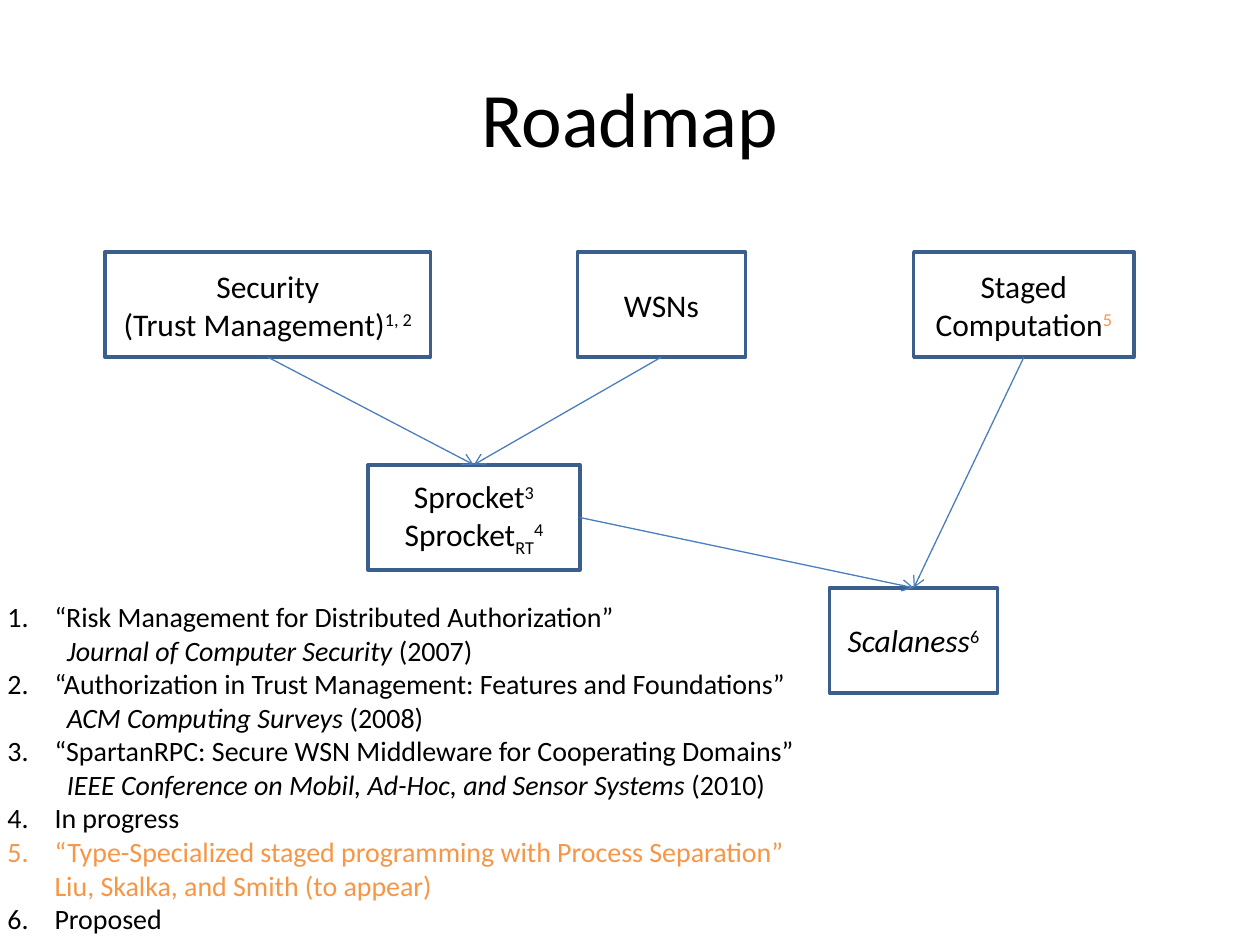
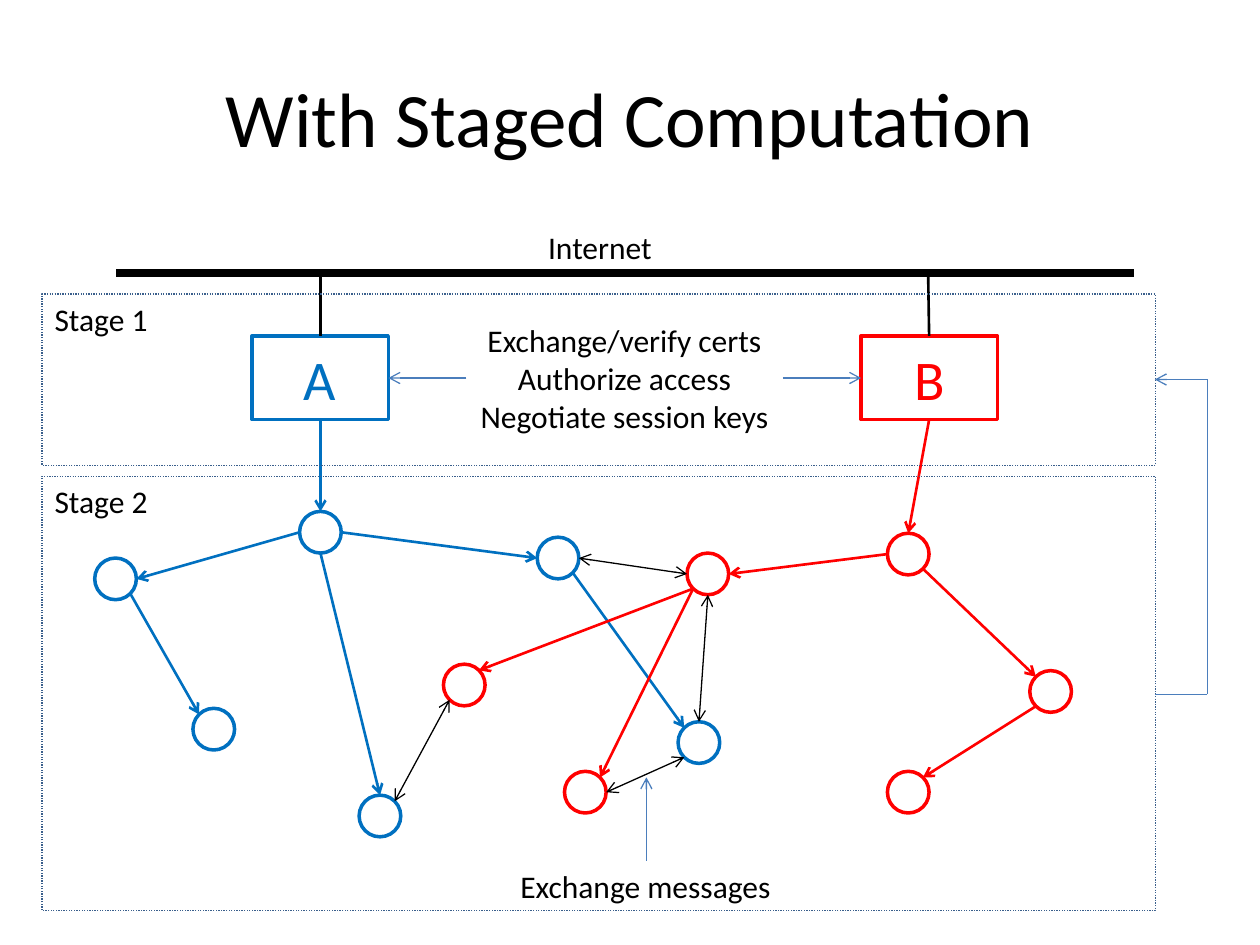
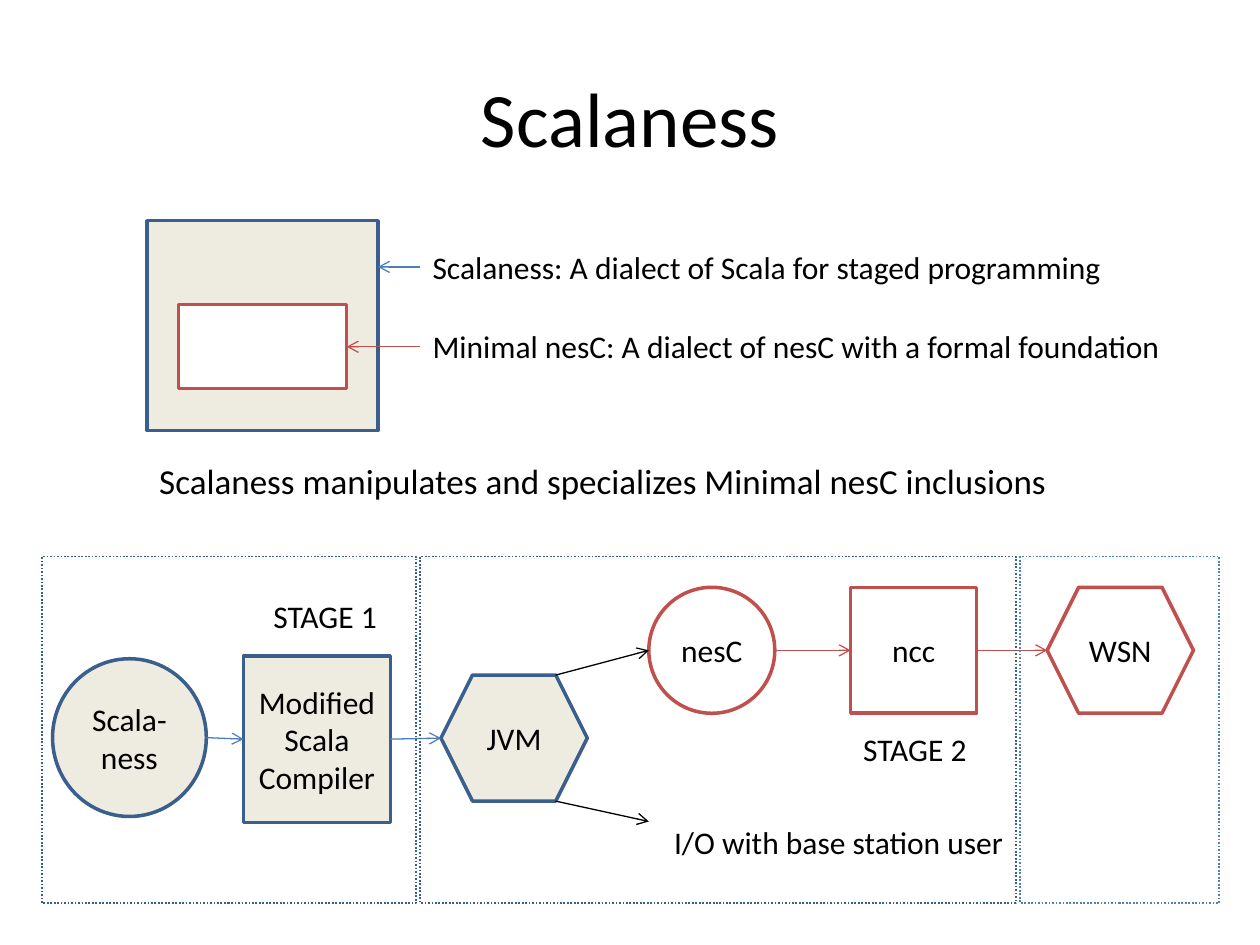
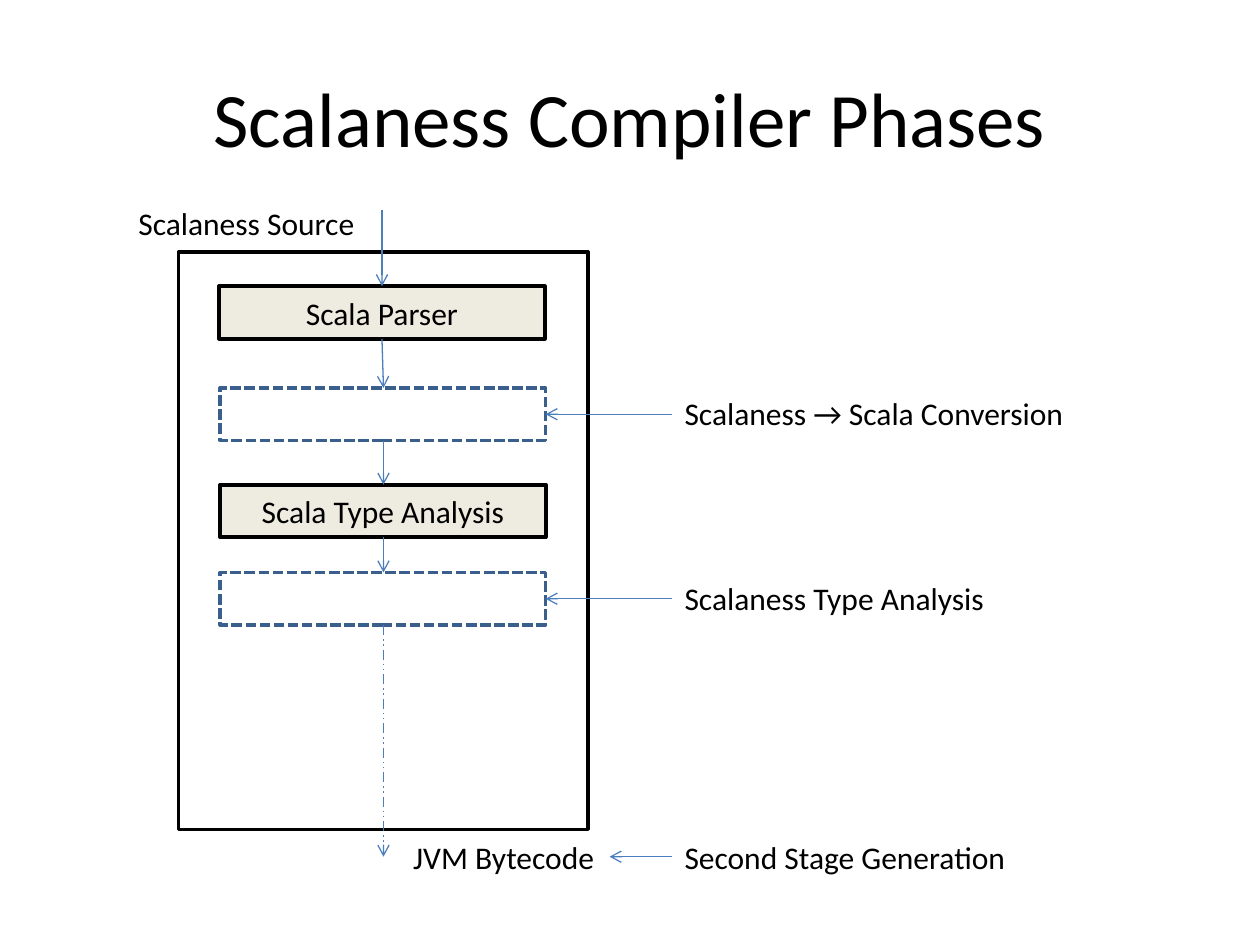
import math
import pptx
import pptx.util
import pptx.dml.color
import pptx.enum.dml
import pptx.enum.shapes
import pptx.enum.text
import pptx.oxml.ns
import lxml.etree

Cm = pptx.util.Cm
Pt = pptx.util.Pt
RGBColor = pptx.dml.color.RGBColor
SHAPE = pptx.enum.shapes.MSO_SHAPE
DASH = pptx.enum.dml.MSO_LINE
ALIGN = pptx.enum.text.PP_ALIGN
ANCHOR = pptx.enum.text.MSO_ANCHOR
FIT = pptx.enum.text.MSO_AUTO_SIZE
qn = pptx.oxml.ns.qn

BLACK = RGBColor(0x00, 0x00, 0x00)
WHITE = RGBColor(0xFF, 0xFF, 0xFF)
NAVY = RGBColor(0x3A, 0x5F, 0x8C)
STEEL = RGBColor(0x4B, 0x7E, 0xBC)
ACCENT = RGBColor(0x4F, 0x81, 0xBD)
BLUE = RGBColor(0x00, 0x70, 0xC0)
RED = RGBColor(0xFF, 0x00, 0x00)
BRICK = RGBColor(0xC0, 0x50, 0x4D)
ORANGE = RGBColor(0xF7, 0x96, 0x46)
CREAM = RGBColor(0xEE, 0xEC, 0xE1)
FONT = "Calibri"
SUPER, SUB = 30000, -25000
LABEL_HEIGHT = 1.02


def add_block(page, kind, area, text="", fill=WHITE, outline=NAVY, width=2, dash=None,
              size=18, align=ALIGN.CENTER, wrap=True):
    lengths = [Cm(value) for value in area]
    if kind is None:
        box = page.shapes.add_textbox(*lengths)
    else:
        box = page.shapes.add_shape(kind, *lengths)
        box.shadow.inherit = False
        if fill is None:
            box.fill.background()
        else:
            box.fill.solid()
            box.fill.fore_color.rgb = fill
        box.line.color.rgb = outline
        box.line.width = Pt(width)
        if dash is not None:
            box.line.dash_style = dash
    if not text:
        return box
    frame = box.text_frame
    frame.word_wrap = wrap
    if not wrap:
        frame.auto_size = FIT.SHAPE_TO_FIT_TEXT
    frame.vertical_anchor = ANCHOR.MIDDLE if wrap else ANCHOR.TOP
    rows = [[(row,)] for row in text.split("\n")] if isinstance(text, str) else text
    for number, row in enumerate(rows):
        para = frame.add_paragraph() if number else frame.paragraphs[0]
        para.alignment = align
        for words, color, italic, baseline in [
                part + (BLACK, False, 0)[len(part) - 1:] for part in row]:
            span = para.add_run()
            span.text = words
            span.font.name = FONT
            span.font.size = Pt(size)
            span.font.color.rgb = color
            if italic:
                span.font.italic = True
            if baseline:
                span.font._element.set("baseline", str(baseline))
    return box


def add_line(page, start, end, color=STEEL, width=0.75, ends=("tailEnd",), dash=None):
    line = page.shapes.add_connector(
        pptx.enum.shapes.MSO_CONNECTOR.STRAIGHT, *[Cm(value) for value in (*start, *end)])
    line.line.color.rgb = color
    line.line.width = Pt(width)
    if dash is not None:
        line.line.dash_style = dash
    properties = line._element.spPr
    for end_name in ends:
        lxml.etree.SubElement(properties.find(qn("a:ln")), qn("a:" + end_name), type="arrow")
    lxml.etree.SubElement(properties, qn("a:effectLst"))


deck = pptx.Presentation()
deck.slide_width = Cm(25.4)
deck.slide_height = Cm(19.05)
pages = []
for title in ("Roadmap", "With Staged Computation", "Scalaness", "Scalaness Compiler Phases"):
    page = deck.slides.add_slide(deck.slide_layouts[6])
    add_block(page, None, (1.27, 0.76, 22.86, 3.18), title, size=44)
    pages.append(page)
roadmap, staged, scalaness, compiler = pages

topics = [
    (2.12, 5.08, 6.56, [[("Security",)],
                        [("(Trust Management)",), ("1, 2", BLACK, False, SUPER)]]),
    (11.64, 5.08, 3.39, "WSNs"),
    (18.42, 5.08, 4.44, [[("Staged Computation",), ("5", ORANGE, False, SUPER)]]),
    (7.42, 9.37, 4.27, [[("Sprocket",), ("3", BLACK, False, SUPER)],
                        [("Sprocket",), ("RT", BLACK, False, SUB), ("4", BLACK, False, SUPER)]]),
    (16.72, 11.85, 3.39, [[("Scalaness", BLACK, True), ("6", BLACK, False, SUPER)]]),
]
for left, top, width, text in topics:
    add_block(roadmap, SHAPE.RECTANGLE, (left, top, width, 2.12), text)
for start, end in [
        ((5.4, 7.2), (9.55, 9.37)),
        ((13.33, 7.2), (9.55, 9.37)),
        ((11.68, 10.43), (18.42, 11.85)),
        ((20.64, 7.2), (18.42, 11.85))]:
    add_line(roadmap, start, end)

references = [
    [("“Risk Management for Distributed Authorization”",)],
    [("Journal of Computer Security", BLACK, True), (" (2007)",)],
    [("“Authorization in Trust Management: Features and Foundations”",)],
    [("ACM Computing Surveys", BLACK, True), (" (2008)",)],
    [("“SpartanRPC: Secure WSN Middleware for Cooperating Domains”",)],
    [("IEEE Conference on Mobil, Ad-Hoc, and Sensor Systems", BLACK, True), (" (2010)",)],
    [("In progress",)],
    [("“Type-Specialized staged programming with Process Separation” "
      "Liu, Skalka, and Smith (to appear)", ORANGE)],
    [("Proposed",)],
]
box = add_block(roadmap, None, (-0.1, 11.96, 16.51, 7.09), references, size=16, align=ALIGN.LEFT)
box.text_frame.vertical_anchor = ANCHOR.TOP
number = 0
for para, row in zip(box.text_frame.paragraphs, references):
    properties = para._p.get_or_add_pPr()
    if len(row) == 2:
        properties.set("marL", str(Cm(1.2)))
        properties.set("indent", "0")
    else:
        number += 1
        properties.set("marL", str(Cm(0.95)))
        properties.set("indent", str(-Cm(0.95)))
        lxml.etree.SubElement(properties, qn("a:buFont"), typeface="+mj-lt")
        lxml.etree.SubElement(properties, qn("a:buAutoNum"), type="arabicPeriod",
                              startAt=str(number))

add_line(staged, (2.34, 5.5), (22.86, 5.5), BLACK, 4.5, ())
for left, name, color in [(5.08, "A", BLUE), (17.36, "B", RED)]:
    add_block(staged, SHAPE.RECTANGLE, (left, 6.77, 2.75, 1.69), [[(name, color)]],
              outline=color, size=32)

radius = 0.42
nodes = {
    "A1": (6.46, 10.73), "A2": (11.25, 11.25), "A3": (2.33, 11.67),
    "A4": (7.66, 16.45), "A5": (4.31, 14.7), "A6": (14.09, 14.97),
    "B1": (18.31, 11.17), "B2": (14.27, 11.57), "B3": (9.36, 13.81),
    "B4": (11.8, 15.97), "B5": (21.18, 13.94), "B6": (18.31, 15.97),
}
rims = {}
for name, (x, y) in nodes.items():
    add_block(staged, SHAPE.OVAL, (x - radius, y - radius, 2 * radius, 2 * radius),
              outline=BLUE if name[0] == "A" else RED)
    for step, side in enumerate(("E", "NE", "N", "NW", "W", "SW", "S", "SE")):
        angle = math.radians(45 * step)
        rims[name, side] = (x + radius * math.cos(angle), y - radius * math.sin(angle))

for source, leave, target, arrive in [
        ("A1", "S", "A4", "N"), ("A2", "SE", "A6", "NW"), ("A3", "SE", "A5", "NW"),
        ("A1", "E", "A2", "W"), ("A1", "W", "A3", "E"),
        ("B1", "W", "B2", "E"), ("B2", "SW", "B4", "NE"), ("B2", "SW", "B3", "NE"),
        ("B5", "SW", "B6", "NE"), ("B1", "SE", "B5", "NW")]:
    add_line(staged, rims[source, leave], rims[target, arrive],
             BLUE if source[0] == "A" else RED, 1.5)
for center, root, color, bus in [(6.46, "A1", BLUE, (6.46, 5.5)), (18.73, "B1", RED, (18.71, 5.5))]:
    add_line(staged, (center, 8.46), rims[root, "N"], color, 1.5)
    add_line(staged, (center, 6.77), bus, BLACK, 1.5, ())
for source, leave, target, arrive in [
        ("B4", "E", "A6", "SW"), ("B3", "SW", "A4", "NE"),
        ("B2", "S", "A6", "N"), ("A2", "E", "B2", "W")]:
    add_line(staged, rims[source, leave], rims[target, arrive], BLACK,
             ends=("headEnd", "tailEnd"))

for start, end in [
        ((13.03, 17.35), (13.03, 15.67)),
        ((9.4, 7.62), (7.83, 7.62)),
        ((15.78, 7.62), (17.36, 7.62))]:
    add_line(staged, start, end)
add_block(staged, None, (9.4, 6.35, 6.38, 2.57),
          "Exchange/verify certs\nAuthorize access\nNegotiate session keys", wrap=False)
for top, height in [(9.6, 8.76), (5.93, 3.45)]:
    add_block(staged, SHAPE.RECTANGLE, (0.85, top, 22.44, height), fill=None, width=0.75,
              dash=DASH.ROUND_DOT)
feedback = [(23.28, 14), (24.34, 14), (24.34, 7.65), (23.28, 7.65)]
for start, end in zip(feedback, feedback[1:]):
    add_line(staged, start, end, ends=("tailEnd",) if end == feedback[-1] else ())

add_block(scalaness, SHAPE.RECTANGLE, (2.96, 4.45, 4.66, 4.23), fill=CREAM)
add_block(scalaness, SHAPE.RECTANGLE, (3.6, 6.14, 3.39, 1.69), outline=BRICK)
add_block(scalaness, None, (2.96, 9.14, 18.59, 1.12),
          "Scalaness manipulates and specializes Minimal nesC inclusions",
          size=20, align=ALIGN.LEFT, wrap=False)
for kind, area, text, fill, outline in [
        (SHAPE.OVAL, (1.06, 13.28, 3.1, 3.18), "Scala-ness", CREAM, NAVY),
        (SHAPE.RECTANGLE, (4.91, 13.23, 2.96, 3.35), "Modified Scala Compiler", CREAM, NAVY),
        (SHAPE.HEXAGON, (8.89, 13.61, 2.95, 2.54), "JVM", CREAM, NAVY),
        (SHAPE.OVAL, (13.08, 11.84, 2.54, 2.54), "nesC", WHITE, BRICK),
        (SHAPE.RECTANGLE, (17.15, 11.84, 2.54, 2.54), "ncc", WHITE, BRICK),
        (SHAPE.HEXAGON, (21.11, 11.84, 2.95, 2.54), "WSN", WHITE, BRICK)]:
    add_block(scalaness, kind, area, text, fill, outline)
for start, end, color in [
        ((8.47, 5.38), (7.62, 5.38), STEEL),
        ((8.47, 6.99), (6.99, 6.99), BRICK),
        ((4.16, 14.87), (4.91, 14.9), STEEL),
        ((7.87, 14.9), (8.89, 14.88), STEEL),
        ((15.62, 13.11), (17.15, 13.11), BRICK),
        ((19.69, 13.11), (21.11, 13.11), BRICK),
        ((11.2, 13.61), (13.08, 13.11), BLACK),
        ((11.2, 16.15), (13.08, 16.56), BLACK)]:
    add_line(scalaness, start, end, color)
for left, width, color in [(0.85, 7.54, NAVY), (8.47, 12.01, NAVY), (20.57, 4.01, ACCENT)]:
    add_block(scalaness, SHAPE.RECTANGLE, (left, 11.22, width, 6.99), fill=None,
              outline=color, width=1, dash=DASH.ROUND_DOT)

add_block(compiler, SHAPE.RECTANGLE, (3.6, 5.08, 8.26, 11.64), outline=BLACK)
for left, top, text in [(4.42, 5.77, "Scala Parser"), (4.44, 7.82, ""),
                        (4.44, 9.77, "Scala Type Analysis"), (4.44, 11.54, "")]:
    area = (left, top, 6.56, 1.06)
    if text:
        add_block(compiler, SHAPE.RECTANGLE, area, text, CREAM, BLACK, 2.25)
    else:
        add_block(compiler, SHAPE.RECTANGLE, area, dash=DASH.SQUARE_DOT)
for start, end in [
        ((7.7, 6.83), (7.73, 7.82)),
        ((7.7, 4.23), (7.7, 5.77)),
        ((7.73, 8.88), (7.73, 9.77)),
        ((7.73, 10.83), (7.73, 11.54)),
        ((13.55, 8.35), (11, 8.35)),
        ((13.55, 12.07), (11, 12.07)),
        ((13.55, 17.27), (12.29, 17.27))]:
    add_line(compiler, start, end)
add_line(compiler, (7.73, 12.6), (7.73, 17.27), dash=DASH.DASH_DOT_DOT)

for page, left, top, width, text in [
        (staged, 10.8, 4.47, 2.62, "Internet"),
        (staged, 10.24, 17.35, 5.61, "Exchange messages"),
        (staged, 0.85, 5.93, 2.41, "Stage 1"),
        (staged, 0.85, 9.6, 2.41, "Stage 2"),
        (scalaness, 8.47, 4.87, 14.15, "Scalaness: A dialect of Scala for staged programming"),
        (scalaness, 8.47, 6.47, 15.37, "Minimal nesC: A dialect of nesC with a formal foundation"),
        (scalaness, 13.34, 16.46, 7.44, "I/O with base station user"),
        (scalaness, 5.26, 11.91, 2.62, "STAGE 1"),
        (scalaness, 17.15, 14.6, 2.62, "STAGE 2"),
        (compiler, 2.54, 3.99, 4.93, "Scalaness Source"),
        (compiler, 8.08, 16.76, 4.19, "JVM Bytecode"),
        (compiler, 13.55, 7.82, 8.23, "Scalaness → Scala Conversion"),
        (compiler, 13.55, 11.55, 6.6, "Scalaness Type Analysis"),
        (compiler, 13.55, 16.76, 7.06, "Second Stage Generation")]:
    add_block(page, None, (left, top, width, LABEL_HEIGHT), text, align=ALIGN.LEFT, wrap=False)

deck.save("out.pptx")
